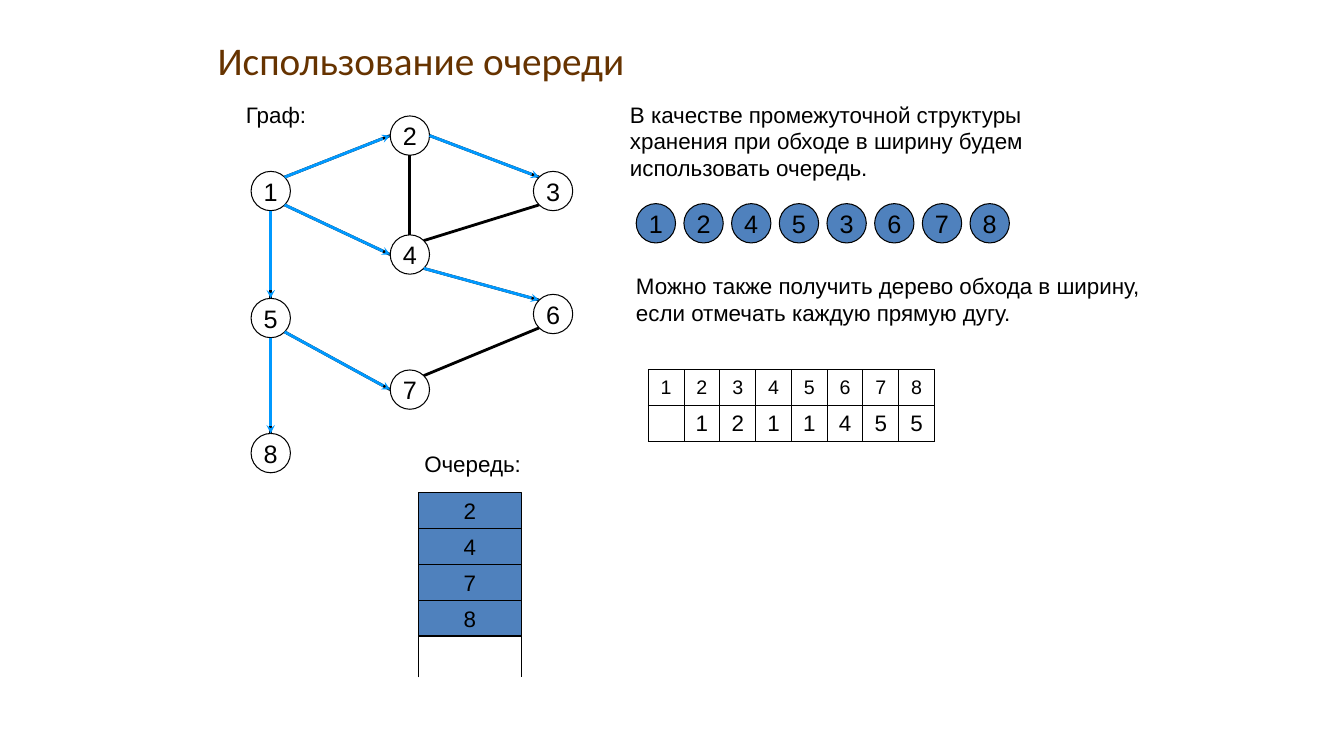
import math

import pptx
import pptx.dml.color
import pptx.enum.shapes
import pptx.enum.text
import pptx.oxml.ns
import pptx.oxml.xmlchemy
import pptx.util

Inches = pptx.util.Inches
Pt = pptx.util.Pt
OxmlElement = pptx.oxml.xmlchemy.OxmlElement
MSO_SHAPE = pptx.enum.shapes.MSO_SHAPE
BLACK, WHITE, BLUE, ARROW, BROWN = "000000", "FFFFFF", "4F81BD", "0099FF", "663300"

LABELS = [
    ("Использование очереди", 2.06, 0.31, 4.28, 0.57, 28, "Calibri", BROWN),
    ("В качестве промежуточной структуры\vхранения при обходе в ширину будем\nиспользовать очередь.",
     6.15, 0.95, 4.2, 0.9, 16, "Arial", BLACK),
    ("Граф:", 2.34, 0.95, 0.81, 0.37, 16, "Arial", BLACK),
    ("Можно также получить дерево обхода в ширину,\vесли отмечать каждую прямую дугу.",
     6.21, 2.65, 5.33, 0.64, 16, "Arial", BLACK),
    ("Очередь:", 4.11, 4.42, 1.17, 0.37, 16, "Arial", BLACK),
]
NODES = {
    1: (2.49, 1.7), 2: (3.87, 1.15), 3: (5.29, 1.7), 4: (3.87, 2.33),
    5: (2.49, 2.96), 6: (5.29, 2.92), 7: (3.87, 3.67), 8: (2.49, 4.3),
}
ANGLES = {"right": 0, "bottom right": 45, "bottom": 90, "bottom left": 135,
          "left": 180, "top left": 225, "top": 270, "top right": 315}
EDGES = [
    (1, "top right", 2, "left"),
    (2, "right", 3, "top left"),
    (2, "bottom", 4, "top"),
    (4, "top right", 3, "bottom left"),
    (1, "bottom right", 4, "left"),
    (4, "bottom right", 6, "top left"),
    (6, "bottom left", 7, "top right"),
    (1, "bottom", 5, "top"),
    (5, "bottom", 8, "top"),
    (5, "bottom right", 7, "left"),
]
PARENTS = {2: 1, 3: 2, 4: 1, 5: 1, 6: 4, 7: 5, 8: 5}
VISIT_ORDER = [1, 2, 4, 5, 3, 6, 7, 8]
QUEUE = [2, 4, 7, 8]

NODE_SIZE = 0.39
VISIT_LEFT, VISIT_TOP, VISIT_STEP = 6.31, 2.02, 0.473
TABLE_LEFT, TABLE_TOP, CELL = 6.43, 3.67, 0.355
QUEUE_LEFT, QUEUE_TOP, QUEUE_WIDTH = 4.15, 4.89, 1.02
FRAME_TOP, FRAME_BOTTOM = 4.91, 6.72


def color(value):
    return pptx.dml.color.RGBColor.from_string(value)


def style_text(text_frame, size, font_name="Arial", font_color=BLACK, centred=False):
    for paragraph in text_frame.paragraphs:
        if centred:
            paragraph.alignment = pptx.enum.text.PP_ALIGN.CENTER
        for run in paragraph.runs:
            run.font.size = Pt(size)
            run.font.name = font_name
            run.font.color.rgb = color(font_color)


def add_label(slide, text, left, top, width, height, size, font_name, font_color):
    box = slide.shapes.add_textbox(Inches(left), Inches(top), Inches(width), Inches(height))
    box.text_frame.text = text
    box.text_frame.word_wrap = False
    box.text_frame.auto_size = pptx.enum.text.MSO_AUTO_SIZE.SHAPE_TO_FIT_TEXT
    style_text(box.text_frame, size, font_name, font_color)


def add_block(slide, kind, number, left, top, width, height, fill, size):
    shape = slide.shapes.add_shape(kind, Inches(left), Inches(top), Inches(width), Inches(height))
    shape.shadow.inherit = False
    shape.fill.solid()
    shape.fill.fore_color.rgb = color(fill)
    shape.line.color.rgb = color(BLACK)
    shape.line.width = Pt(0.75)
    shape.text_frame.text = str(number)
    shape.text_frame.word_wrap = False
    shape.text_frame.vertical_anchor = pptx.enum.text.MSO_ANCHOR.MIDDLE
    style_text(shape.text_frame, size, centred=True)


def add_line(slide, start, end, line_color, width, arrow=False):
    connector = slide.shapes.add_connector(
        pptx.enum.shapes.MSO_CONNECTOR.STRAIGHT, *[Inches(value) for value in start + end])
    connector.line.color.rgb = color(line_color)
    connector.line.width = Pt(width)
    properties = connector._element.spPr
    if arrow:
        tail = OxmlElement("a:tailEnd")
        tail.set("type", "stealth")
        properties.find(pptx.oxml.ns.qn("a:ln")).append(tail)
    properties.append(OxmlElement("a:effectLst"))


def node_point(node, side):
    radius = NODE_SIZE / 2
    angle = math.radians(ANGLES[side])
    left, top = NODES[node]
    return left + radius + radius * math.cos(angle), top + radius + radius * math.sin(angle)


def add_edges(slide, edges, line_color, arrow=False):
    for start, start_side, end, end_side in edges:
        add_line(slide, node_point(start, start_side), node_point(end, end_side),
                 line_color, 2, arrow)


def add_borders(cell):
    properties = cell._tc.get_or_add_tcPr()
    for index, side in enumerate(("a:lnL", "a:lnR", "a:lnT", "a:lnB")):
        border = OxmlElement(side)
        border.set("w", str(Pt(0.75)))
        fill = OxmlElement("a:solidFill")
        tone = OxmlElement("a:srgbClr")
        tone.set("val", BLACK)
        fill.append(tone)
        border.append(fill)
        properties.insert(index, border)


def add_parent_table(slide):
    rows = [(list(NODES), 14), ([PARENTS.get(node, "") for node in NODES], 16)]
    table = slide.shapes.add_table(
        len(rows), len(NODES), Inches(TABLE_LEFT), Inches(TABLE_TOP),
        Inches(CELL * len(NODES)), Inches(CELL * len(rows))).table
    table.first_row = False
    table.horz_banding = False
    for column in table.columns:
        column.width = Inches(CELL)
    for row, (values, size) in enumerate(rows):
        table.rows[row].height = Inches(CELL)
        for column, value in enumerate(values):
            cell = table.cell(row, column)
            cell.margin_left = cell.margin_right = cell.margin_top = cell.margin_bottom = 0
            cell.vertical_anchor = pptx.enum.text.MSO_ANCHOR.MIDDLE
            cell.fill.solid()
            cell.fill.fore_color.rgb = color(WHITE)
            cell.text_frame.text = str(value)
            cell.text_frame.paragraphs[0].font.size = Pt(size)
            style_text(cell.text_frame, size, centred=True)
            add_borders(cell)


def main():
    presentation = pptx.Presentation()
    presentation.slide_width = Inches(13.33)
    presentation.slide_height = Inches(7.5)
    slide = presentation.slides.add_slide(presentation.slide_layouts[6])

    for label in LABELS:
        add_label(slide, *label)
    for node, (left, top) in NODES.items():
        add_block(slide, MSO_SHAPE.OVAL, node, left, top, NODE_SIZE, NODE_SIZE, WHITE, 18)
    add_edges(slide, EDGES, BLACK)
    add_edges(slide, [edge for edge in EDGES if PARENTS.get(edge[2]) == edge[0]], ARROW, True)

    for index, node in enumerate(VISIT_ORDER):
        add_block(slide, MSO_SHAPE.OVAL, node, VISIT_LEFT + index * VISIT_STEP, VISIT_TOP,
                  NODE_SIZE, NODE_SIZE, BLUE, 18)
    add_parent_table(slide)

    queue_right = QUEUE_LEFT + QUEUE_WIDTH
    corners = [(QUEUE_LEFT, FRAME_BOTTOM), (QUEUE_LEFT, FRAME_TOP),
               (queue_right, FRAME_TOP), (queue_right, FRAME_BOTTOM)]
    for start, end in zip(corners, corners[1:]):
        add_line(slide, start, end, BLACK, 0.75)
    for index, node in enumerate(QUEUE):
        add_block(slide, MSO_SHAPE.RECTANGLE, node, QUEUE_LEFT, QUEUE_TOP + index * CELL,
                  QUEUE_WIDTH, CELL, BLUE, 16)

    presentation.save("out.pptx")


if __name__ == "__main__":
    main()
